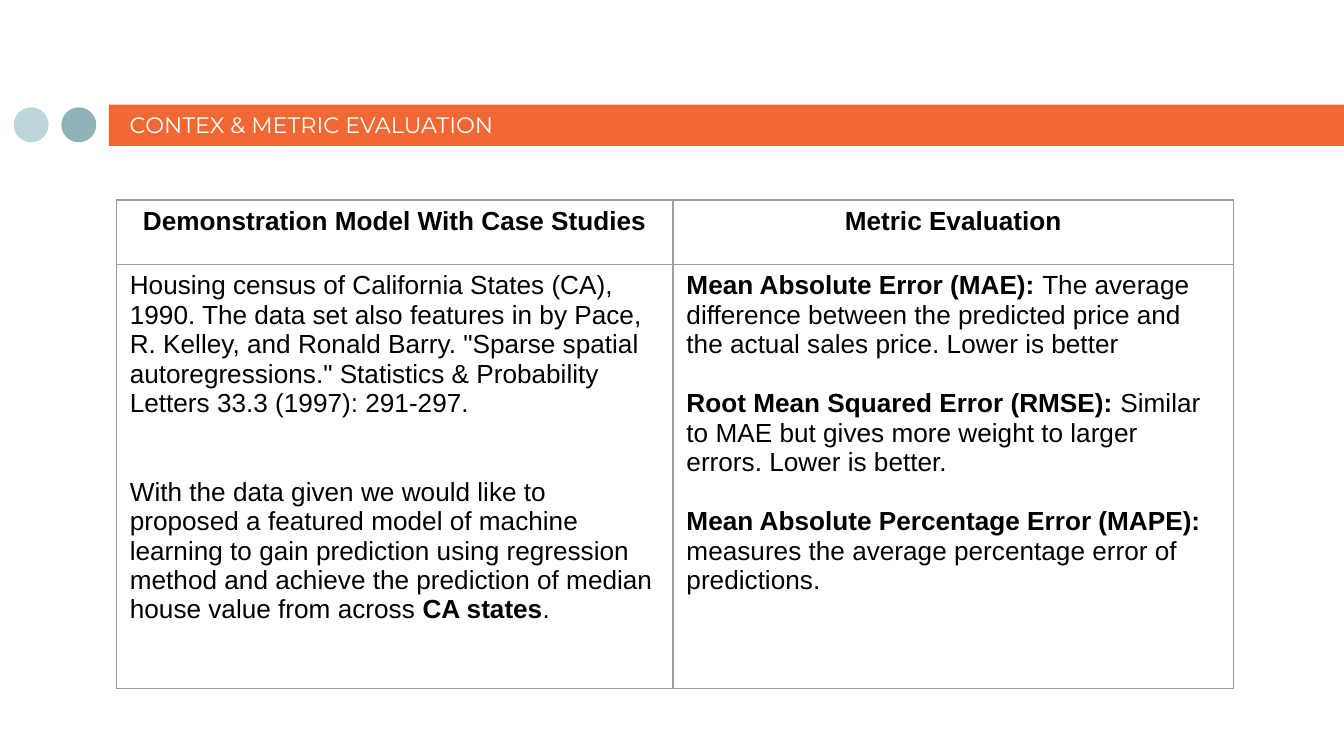
"""Build a slide with a title bar and a table of case study and metrics."""
from typing import NamedTuple

from lxml import etree
from pptx import Presentation
from pptx.dml.color import RGBColor
from pptx.enum.shapes import MSO_SHAPE
from pptx.enum.text import MSO_ANCHOR, PP_ALIGN
from pptx.oxml.ns import qn
from pptx.util import Cm, Pt

RECTANGLE, OVAL = MSO_SHAPE.RECTANGLE, MSO_SHAPE.OVAL
LEFT, CENTER = PP_ALIGN.LEFT, PP_ALIGN.CENTER
BOTTOM = MSO_ANCHOR.BOTTOM

ORANGE = RGBColor(0xF2, 0x68, 0x35)
TEAL = RGBColor(0x90, 0xB2, 0xB6)
PALE_TEAL = RGBColor(0xBA, 0xD6, 0xD9)
WHITE = RGBColor(0xFF, 0xFF, 0xFF)
BLACK = RGBColor(0x00, 0x00, 0x00)
GREY = RGBColor(0x9E, 0x9E, 0x9E)

COLUMN_WIDTHS = (10.52, 10.59)
ROW_HEIGHTS = (1.22, 8.02)
BORDER_WIDTH = Pt(0.75)
BORDER_SIDES = ("a:lnL", "a:lnR", "a:lnT", "a:lnB")


class Ornament(NamedTuple):
    kind: MSO_SHAPE
    left: float
    top: float
    width: float
    height: float
    color: RGBColor


class Span(NamedTuple):
    text: str
    bold: bool = False


class Block(NamedTuple):
    spans: tuple[Span, ...]
    space_before: int = 0
    alignment: PP_ALIGN = LEFT


ORNAMENTS = (
    Ornament(RECTANGLE, 2.06, 1.98, 24.13, 0.78, ORANGE),
    Ornament(OVAL, 1.16, 2.03, 0.66, 0.66, TEAL),
    Ornament(OVAL, 0.26, 2.03, 0.66, 0.66, PALE_TEAL),
)

HEADINGS = tuple(
    (Block((Span(text, True),), alignment=CENTER),)
    for text in ("Demonstration Model With Case Studies", "Metric Evaluation")
)

CASE_STUDY = (
    Block((Span(
        "Housing census of California States (CA), 1990. The data set also "
        "features in by Pace, R. Kelley, and Ronald Barry. \"Sparse spatial "
        "autoregressions.\" Statistics & Probability Letters 33.3 (1997): 291-297."
    ),)),
    Block((
        Span(
            "With the data given we would like to proposed a featured model of "
            "machine learning to gain prediction using regression method and "
            "achieve the prediction of median house value from across "
        ),
        Span("CA states", True),
        Span("."),
    ), space_before=32),
)

METRICS = (
    Block((
        Span("Mean Absolute Error (MAE): ", True),
        Span("The average difference between the predicted price and the "
             "actual sales price. Lower is better"),
    )),
    Block((
        Span("Root Mean Squared Error (RMSE): ", True),
        Span("Similar to MAE but gives more weight to larger errors. "
             "Lower is better."),
    ), space_before=16),
    Block((
        Span("Mean Absolute Percentage Error (MAPE): ", True),
        Span("measures the average percentage error of predictions."),
    ), space_before=16),
)

TABLE_ROWS = (HEADINGS, (CASE_STUDY, METRICS))


def draw_ornament(slide, ornament: Ornament) -> None:
    """Draw one flat coloured shape."""
    shape = slide.shapes.add_shape(
        ornament.kind, Cm(ornament.left), Cm(ornament.top),
        Cm(ornament.width), Cm(ornament.height))
    shape.shadow.inherit = False
    shape.fill.solid()
    shape.fill.fore_color.rgb = ornament.color
    shape.line.fill.background()


def draw_title(slide, text: str) -> None:
    """Write the title over the bar."""
    shape = slide.shapes.add_textbox(Cm(2.2), Cm(2), Cm(13.92), Cm(0.86))
    frame = shape.text_frame
    frame.word_wrap = True
    frame.vertical_anchor = BOTTOM
    frame.margin_left = frame.margin_right = Cm(0.25)
    frame.margin_top = frame.margin_bottom = Cm(0.25)
    frame.text = text
    font = frame.paragraphs[0].runs[0].font
    font.name, font.size, font.color.rgb = "Montserrat", Pt(12), WHITE


def set_borders(cell) -> None:
    """Give a cell a thin grey line on every side."""
    properties = cell._tc.get_or_add_tcPr()
    for side in BORDER_SIDES:
        line = etree.SubElement(properties, qn(side), w=str(BORDER_WIDTH))
        fill = etree.SubElement(line, qn("a:solidFill"))
        etree.SubElement(fill, qn("a:srgbClr"), val=str(GREY))


def fill_cell(cell, blocks: tuple[Block, ...]) -> None:
    """Write the blocks of a cell as paragraphs."""
    set_borders(cell)
    cell.fill.background()
    frame = cell.text_frame
    for index, block in enumerate(blocks):
        paragraph = frame.add_paragraph() if index else frame.paragraphs[0]
        paragraph.alignment = block.alignment
        paragraph.space_before = Pt(block.space_before)
        for span in block.spans:
            run = paragraph.add_run()
            run.text = span.text
            font = run.font
            font.name, font.size, font.bold = "Arial", Pt(14), span.bold
            font.color.rgb = BLACK


def draw_table(slide, rows: tuple) -> None:
    """Draw the two-column table."""
    table = slide.shapes.add_table(
        len(ROW_HEIGHTS), len(COLUMN_WIDTHS), Cm(2.2), Cm(3.78),
        Cm(sum(COLUMN_WIDTHS)), Cm(sum(ROW_HEIGHTS))).table
    table.first_row = table.horz_banding = False
    for column, width in zip(table.columns, COLUMN_WIDTHS):
        column.width = Cm(width)
    for row, height, contents in zip(table.rows, ROW_HEIGHTS, rows):
        row.height = Cm(height)
        for cell, blocks in zip(row.cells, contents):
            fill_cell(cell, blocks)


def main() -> None:
    """Build and save the presentation."""
    presentation = Presentation()
    presentation.slide_width = Cm(25.4)
    presentation.slide_height = Cm(14.29)
    slide = presentation.slides.add_slide(presentation.slide_layouts[6])
    for ornament in ORNAMENTS:
        draw_ornament(slide, ornament)
    draw_title(slide, "CONTEX & METRIC EVALUATION")
    draw_table(slide, TABLE_ROWS)
    presentation.save("out.pptx")


if __name__ == "__main__":
    main()
